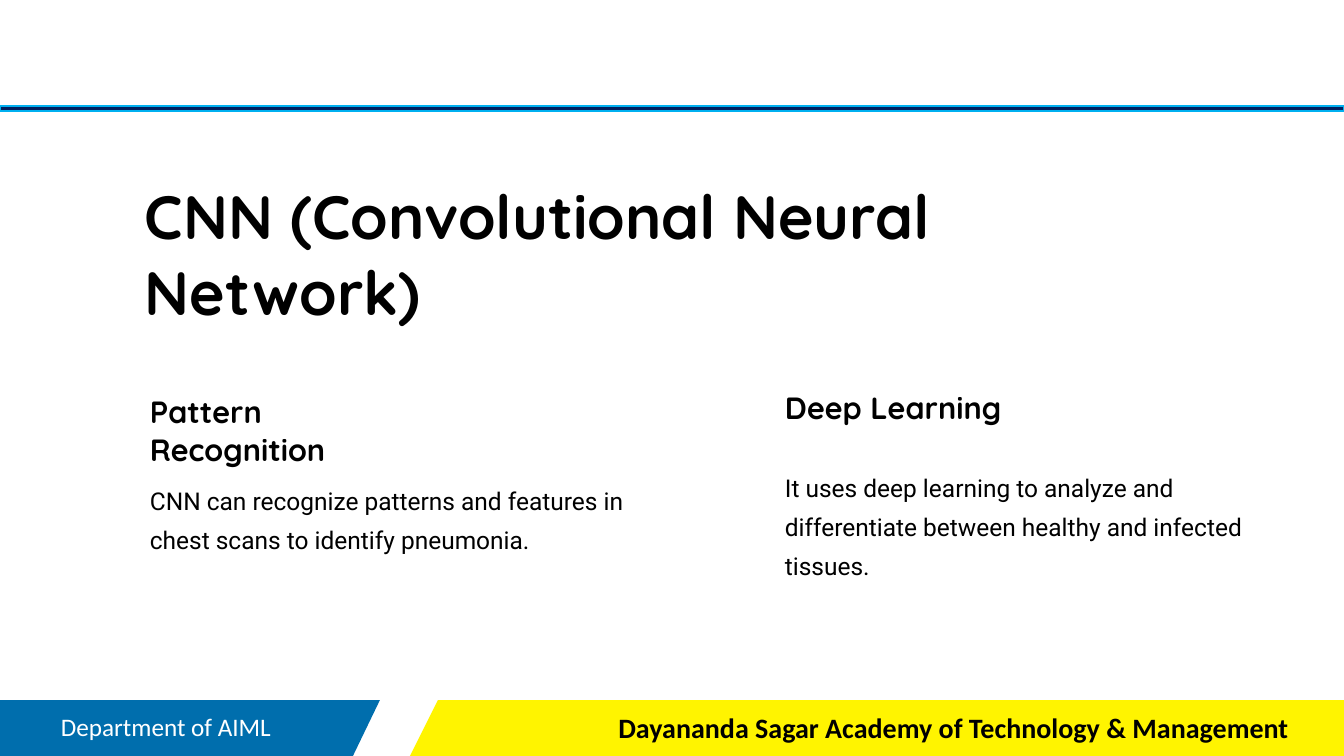
from dataclasses import dataclass
from typing import Optional

from pptx import Presentation
from pptx.dml.color import RGBColor as Rgb
from pptx.enum.shapes import MSO_SHAPE as Kind
from pptx.enum.text import PP_ALIGN as Align
from pptx.shapes.base import BaseShape
from pptx.slide import Slide
from pptx.util import Emu, Pt

SCALE = 914400 / 100.8  # EMU in one px
WIDE, HIGH = 1344, 756
BAND_TOP = 700


@dataclass(frozen=True)
class Theme:
    blue: str = "006EAD"
    yellow: str = "FFF400"
    navy: str = "002060"
    sky: str = "00B0F0"
    black: str = "000000"
    white: str = "FFFFFF"
    title: float = 43.7
    head: float = 21.9
    body: float = 17.5
    school: float = 20
    dept: float = 18


THEME = Theme()


@dataclass(frozen=True)
class Style:
    font: str
    size: float
    color: str = THEME.black
    bold: bool = False
    wrap: bool = True
    lead: Optional[float] = None


TITLE = Style("Quicksand", THEME.title, bold=True, wrap=False, lead=54.7)
HEAD = Style("Quicksand", THEME.head, bold=True, wrap=False, lead=27.3)
BODY = Style("Roboto", THEME.body, lead=28)
SCHOOL = Style("Calibri", THEME.school, bold=True)
DEPT = Style("Calibri", THEME.dept, THEME.white)


@dataclass(frozen=True)
class Label:
    text: str
    left: int
    top: int
    width: int
    height: int
    style: Style
    center: bool = False


@dataclass(frozen=True)
class Band:
    left: int
    right: int
    color: str
    slant: int = 0  # how far the foot leans left


BANDS = (
    Band(438, 538, THEME.yellow, 28),
    Band(280, 380, THEME.blue, 27),
    Band(446, WIDE, THEME.yellow),
    Band(0, 350, THEME.blue),
)

LABELS = (
    Label("Department of AIML", 51, 706, 298, 40, DEPT),
    Label("CNN (Convolutional Neural Network)", 135, 170, 1037, 77, TITLE),
    Label("Pattern Recognition", 140, 386, 306, 38, HEAD),
    Label("CNN can recognize patterns and features in chest scans to "
          "identify pneumonia.", 140, 471, 529, 79, BODY),
    Label("Deep Learning", 775, 383, 306, 38, HEAD),
    Label("It uses deep learning to analyze and differentiate between "
          "healthy and infected tissues.", 775, 458, 529, 79, BODY),
    Label("Dayananda Sagar Academy of Technology & Management",
          563, 708, 781, 38, SCHOOL, center=True),
)


def px(num: int) -> Emu:
    return Emu(round(num * SCALE))


def paint(shape: BaseShape, color: str) -> None:
    shape.shadow.inherit = False
    shape.fill.solid()
    shape.fill.fore_color.rgb = Rgb.from_string(color)


def add_band(slide: Slide, band: Band) -> None:
    pen = slide.shapes.build_freeform(band.right, BAND_TOP, scale=SCALE)
    pen.add_line_segments((
        (band.left, BAND_TOP),
        (band.left - band.slant, HIGH),
        (band.right - band.slant, HIGH),
    ))
    shape = pen.convert_to_shape()
    paint(shape, band.color)
    shape.line.fill.background()


def add_rule(slide: Slide) -> None:
    rule = slide.shapes.add_shape(
        Kind.RECTANGLE, px(0), px(106), px(WIDE), px(5))
    paint(rule, THEME.navy)
    rule.line.color.rgb = Rgb.from_string(THEME.sky)
    rule.line.width = Pt(1)


def add_label(slide: Slide, label: Label) -> None:
    box = slide.shapes.add_textbox(
        px(label.left), px(label.top), px(label.width), px(label.height))
    frame = box.text_frame
    style = label.style
    frame.word_wrap = style.wrap
    para = frame.paragraphs[0]
    para.text = label.text
    if label.center:
        frame.margin_left = frame.margin_right = frame.margin_bottom = 0
        frame.margin_top = px(3)
        para.alignment = Align.CENTER
    if style.lead:
        para.line_spacing = Pt(style.lead)
    font = para.font
    font.name = style.font
    font.size = Pt(style.size)
    font.bold = style.bold
    font.color.rgb = Rgb.from_string(style.color)


def main() -> None:
    deck = Presentation()
    deck.slide_width, deck.slide_height = px(WIDE), px(HIGH)
    slide = deck.slides.add_slide(deck.slide_layouts[6])

    # Footer bands and header rule
    for band in BANDS:
        add_band(slide, band)
    add_rule(slide)

    # Title, two columns and footer text
    for label in LABELS:
        add_label(slide, label)

    deck.save("out.pptx")


if __name__ == "__main__":
    main()
